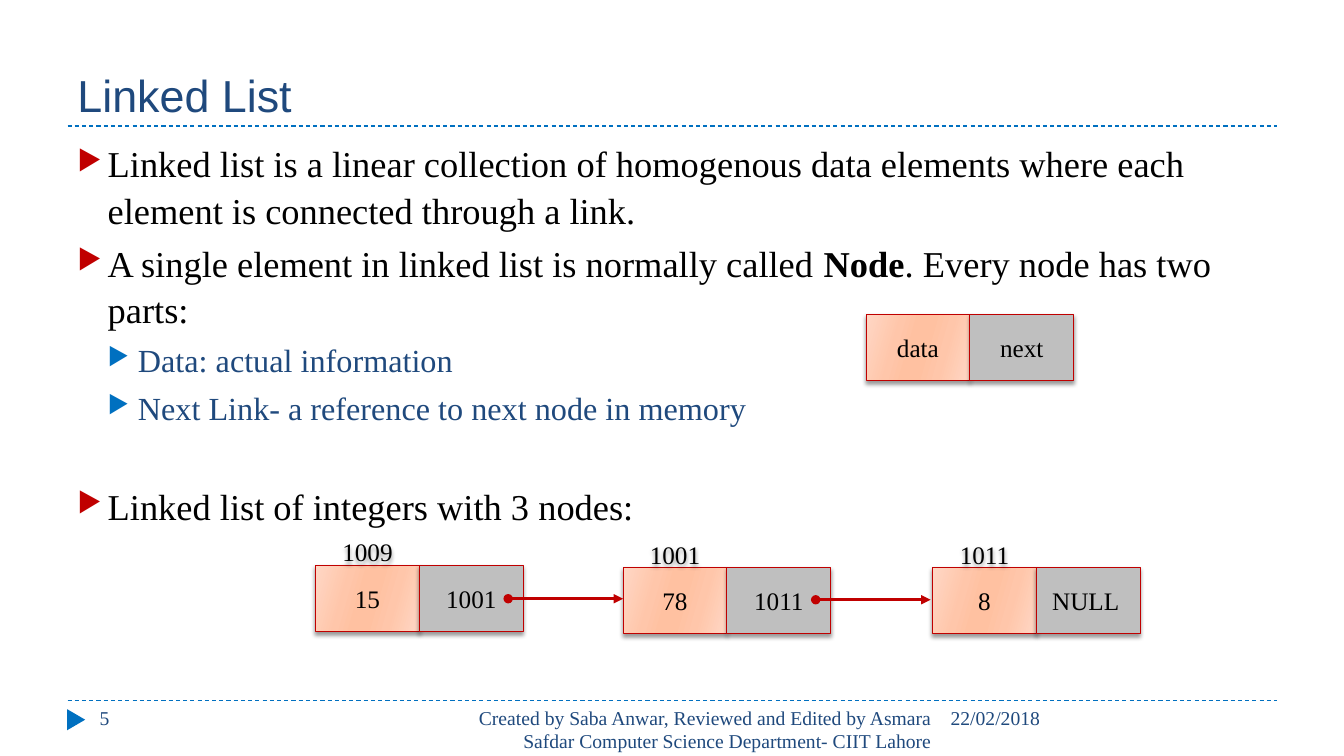
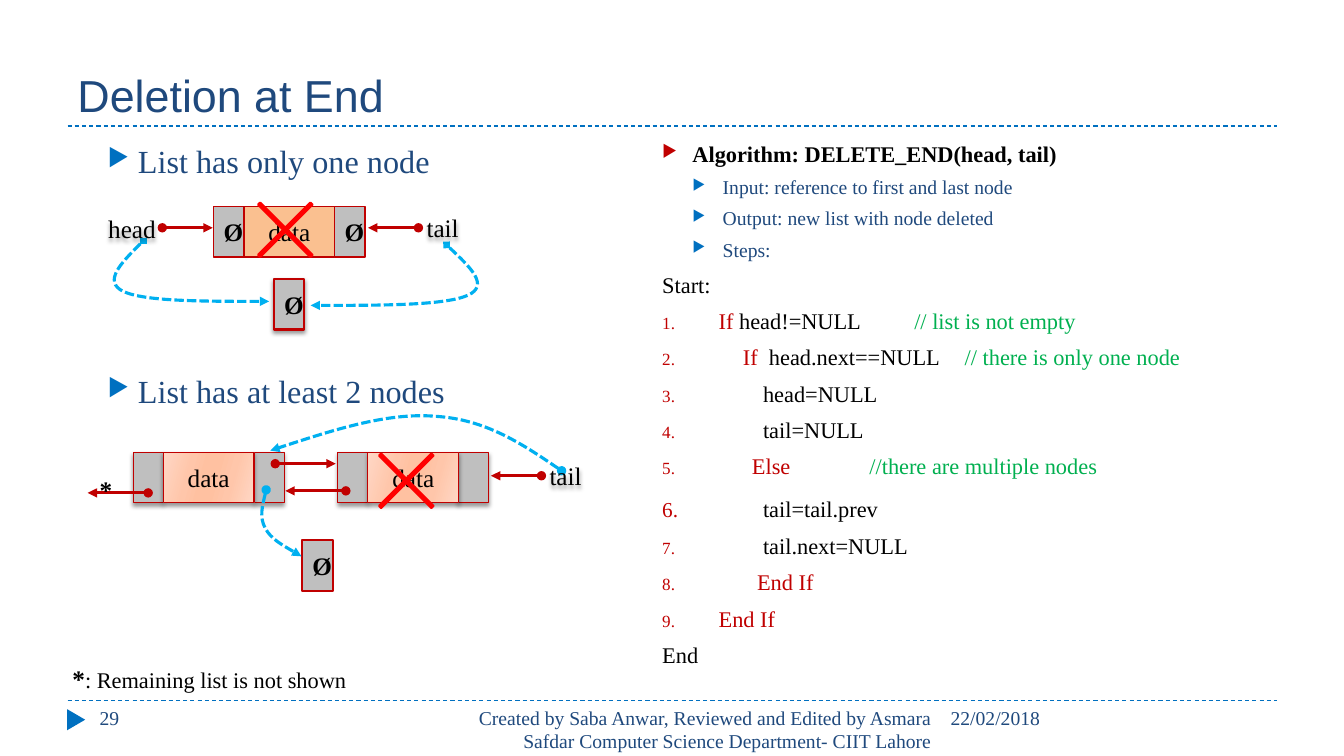
from pptx import Presentation
from pptx.dml.color import RGBColor
from pptx.enum.dml import MSO_LINE
from pptx.enum.shapes import MSO_CONNECTOR, MSO_SHAPE
from pptx.enum.text import MSO_ANCHOR, PP_ALIGN
from pptx.oxml import parse_xml
from pptx.oxml.ns import nsdecls, qn
from pptx.util import Inches, Pt
from lxml import etree

LEFT, MID, RIGHT = PP_ALIGN.LEFT, PP_ALIGN.CENTER, PP_ALIGN.RIGHT
TOP, HALF, BASE = MSO_ANCHOR.TOP, MSO_ANCHOR.MIDDLE, MSO_ANCHOR.BOTTOM
DASH, SHORT = MSO_LINE.DASH, MSO_LINE.SQUARE_DOT
RECT, TRI, CROSS = MSO_SHAPE.RECTANGLE, MSO_SHAPE.ISOSCELES_TRIANGLE, MSO_SHAPE.MATH_MULTIPLY
STRAIGHT = MSO_CONNECTOR.STRAIGHT


class Theme:
    navy, blue, sky = "1F497D", "0070C0", "00B0F0"
    red, hot, green = "C00000", "FF0000", "00B050"
    black, grey, peach = "000000", "BFBFBF", "FAC090"
    glow = [(0, "FFD7C5"), (30, "FFC6AA"), (45, "FFC1A1"),
            (55, "FFC1A1"), (73, "FFC6AA"), (100, "FFD7C5")]
    sans, serif = "Arial", "Times New Roman"
    title, main, sub, label, code, small, big = 32, 26, 23, 18, 16, 14, 20


T = Theme


def write(para, size, runs, font=T.serif):
    for words, tone, bold in runs:
        run = para.add_run()
        run.text = words
        run.font.size = Pt(size)
        run.font.name = font
        run.font.bold = bold
        run.font.color.rgb = RGBColor.from_string(tone)


def stroke(shape, tone, width, dash=None, ends=()):
    shape.line.color.rgb = RGBColor.from_string(tone)
    shape.line.width = Pt(width)
    if dash:
        shape.line.dash_style = dash
    spot = shape._element.spPr
    for tag, kind in zip(("a:headEnd", "a:tailEnd"), ends):
        etree.SubElement(spot.find(qn("a:ln")), qn(tag)).set("type", kind)
    if spot.find(qn("a:effectLst")) is None:
        etree.SubElement(spot, qn("a:effectLst"))


def_row = {"top": (0.3, 0.3, "▶", T.red), "sub": (0.6, 0.3, "▶", T.blue),
           "step": (0.56, 0.56, None, T.red), "plain": (0, 0, None, None)}

main = [
    ("top", T.main, 5, [("Linked list is a linear collection of homogenous data elements "
                         "where each element is connected through a link.", T.black, False)]),
    ("top", T.main, 5, [("A single element in linked list is normally called ", T.black, False),
                        ("Node", T.black, True),
                        (". Every node has two parts:", T.black, False)]),
    ("sub", T.sub, 5, [("Data: actual information", T.navy, False)]),
    ("sub", T.sub, 5, [("Next Link- a reference to next node in memory", T.navy, False)]),
    ("top", T.main, 39, [("Linked list of integers with 3 nodes:", T.black, False)]),
]
cases = [
    ("sub", T.sub, 5, [("List has only one node", T.navy, False)]),
    ("sub", T.sub, 135, [("List has at least 2 nodes", T.navy, False)]),
]
algo = [("top", T.code, 6, [("Algorithm: DELETE_END(head, tail)", T.black, True)])]
for words in ("Input: reference to first and last node",
              "Output: new list with node deleted", "Steps:"):
    algo.append(("sub", T.small, 5, [(words, T.navy, False)]))
algo.append(("plain", T.code, 6, [("Start:", T.black, False)]))
for left, key, rest, note in [
    (0.56, "If", " head!=NULL\t\t", "// list is not empty"),
    (0.8, "If  ", "head.next==NULL\t", "// there is only one node"),
    (0.56, "", "\thead=NULL", ""),
    (0.56, "", "\ttail=NULL", ""),
    (0.89, "Else", "\t\t", " //there are multiple nodes"),
    (0.56, "\t", "tail=tail.prev", ""),
    (0.56, "", "\ttail.next=NULL", ""),
    (0.94, "End If", "", ""),
    (0.56, "End If", "", ""),
]:
    parts = [(key, T.red, False), (rest, T.black, False), (note, T.green, False)]
    algo.append((left, T.code, 6, [part for part in parts if part[0]]))
algo.append(("plain", T.code, 6, [("End", T.black, False)]))

nodes, links, tags = [], [], []
for left, top, data, link, spot in [(8.59, 3.12, "data", "next", None),
                                    (3.13, 5.61, "15", "1001", "1009"),
                                    (6.18, 5.63, "78", "1011", "1001"),
                                    (9.25, 5.63, "8", "NULL ", "1011")]:
    nodes.append((left, top, 1.03, 0.66, data, T.glow, 0.75, True))
    nodes.append((left + 1.03, top, 1.03, 0.66, link, T.grey, 0.75, True))
    if spot:
        tags.append((left, top - 0.26, 1.03, 0.25, spot))
for left, top in [(5.04, 5.94), (8.09, 5.95)]:
    links.append((left, top, left + 1.14, top))

cells = []
for left, top, sign, tint, weight, soft in [(2.12, 2.05, "Ø", T.peach, 1, False),
                                            (1.32, 4.49, "", T.glow, 0.75, True),
                                            (3.35, 4.49, "", T.glow, 0.75, True)]:
    for shift, width, words, fill in [(0, 0.3, sign, T.grey), (1.2, 0.3, sign, T.grey),
                                      (0.3, 0.9, "data", tint)]:
        cells.append((left + shift, top, width, 0.5, words, fill, weight, soft))
cells.append((2.72, 2.77, 0.3, 0.5, "Ø", T.grey, 1.5, True))
cells.append((3, 5.36, 0.3, 0.5, "Ø", T.grey, 1.5, False))

bends = [
    ("diamond", [(1.42, 2.39), (1.22, 2.59), (1.02, 2.79), (1.22, 2.89),
                 (1.43, 2.99), (2.05, 2.99), (2.67, 2.99)]),
    ("diamond", [(4.43, 2.43), (4.64, 2.63), (4.86, 2.83), (4.64, 2.93),
                 (4.41, 3.03), (3.75, 3.03), (3.08, 3.03)]),
    ("oval", [(2.64, 4.86), (2.61, 4.99), (2.57, 5.13), (2.63, 5.24),
              (2.69, 5.35), (2.84, 5.43), (2.99, 5.52)]),
    ("oval", [(5.57, 4.67), (5.19, 4.41), (4.81, 4.16), (4.32, 4.13),
              (3.84, 4.09), (3.26, 4.28), (2.68, 4.47)]),
]

pages = [
    dict(title="Linked List", page="5", bodies=[(0.67, 12, 1.06, main)], boxes=nodes,
         lines=links, bends=[], tags=tags, notes=[], marks=[]),
    dict(title="Deletion at End", page="29",
         bodies=[(0.67, 5.03, 1.06, cases), (6.47, 6.2, 1.04, algo)], boxes=cells,
         lines=[(1.61, 2.26, 2.11, 2.26), (4.15, 2.26, 3.65, 2.26),
                (3.43, 4.87, 2.83, 4.87), (2.73, 4.6, 3.33, 4.6),
                (1.47, 4.89, 0.87, 4.89), (5.37, 4.72, 4.87, 4.72)],
         bends=bends,
         tags=[(0.96, 2.12, 0.7, 0.3, "head"), (4.04, 2.11, 0.7, 0.3, "tail"),
               (5.26, 4.57, 0.7, 0.3, "tail")],
         notes=[(0.62, 6.53, 2.96, ": Remaining list is not shown"), (0.89, 4.66, 0.33, "")],
         marks=[(2.33, 1.78), (3.53, 4.27)]),
]

deck = Presentation()
deck.slide_width, deck.slide_height = Inches(13.33), Inches(7.5)

for page in pages:
    slide = deck.slides.add_slide(deck.slide_layouts[6])
    shapes = slide.shapes
    soft = []

    for top in (6.95, 1.25):
        rule = shapes.add_connector(STRAIGHT, Inches(0.67), Inches(top), Inches(12.67), Inches(top))
        stroke(rule, T.blue, 0.75, DASH)
    wedge = shapes.add_shape(TRI, Inches(0.65), Inches(7.05), Inches(0.21), Inches(0.18))
    wedge.rotation = 90
    wedge.shadow.inherit = False
    wedge.fill.solid()
    wedge.fill.fore_color.rgb = RGBColor.from_string(T.blue)
    wedge.line.fill.background()

    credit = ("Created by Saba Anwar, Reviewed and Edited by Asmara Safdar "
              "Computer Science Department- CIIT Lahore")
    texts = [
        (0.67, 0.17, 12, 1.08, page["title"], T.title, T.navy, T.sans, LEFT, BASE),
        (9.33, 6.95, 3.34, 0.4, "22/02/2018", T.small, T.navy, T.serif, LEFT, TOP),
        (4.23, 6.95, 5.11, 0.4, credit, T.small, T.navy, T.serif, RIGHT, TOP),
        (0.89, 6.95, 2.89, 0.4, page["page"], T.small, T.navy, T.serif, LEFT, TOP),
    ]

    for left, width, pitch, rows in page["bodies"]:
        frame = shapes.add_textbox(Inches(left), Inches(1.33), Inches(width), Inches(5.4)).text_frame
        frame.word_wrap = True
        for n, (kind, size, before, runs) in enumerate(rows):
            para = frame.add_paragraph() if n else frame.paragraphs[0]
            para.space_before = Pt(before)
            para.line_spacing = pitch
            write(para, size, runs)
            if runs[0][0] == "\t":
                para.runs[0].font.size = Pt(T.big)
            step = not isinstance(kind, str)
            edge, hang, sign, tone = (kind, kind, None, T.red) if step else def_row[kind]
            props = para._p.get_or_add_pPr()
            props.set("marL", str(Inches(edge)))
            props.set("indent", str(-Inches(hang)))
            if tone:
                color = etree.SubElement(props, qn("a:buClr"))
                etree.SubElement(color, qn("a:srgbClr")).set("val", tone)
                etree.SubElement(props, qn("a:buSzPct")).set("val", "76000")
                if sign:
                    etree.SubElement(props, qn("a:buChar")).set("char", sign)
                else:
                    etree.SubElement(props, qn("a:buAutoNum")).set("type", "arabicPeriod")

    for left, top, width, height, words, tint, weight, shade in page["boxes"]:
        box = shapes.add_shape(RECT, Inches(left), Inches(top), Inches(width), Inches(height))
        box.shadow.inherit = False
        box.fill.solid()
        if tint is T.glow:
            stops = "".join(f'<a:gs pos="{at * 1000}"><a:srgbClr val="{tone}"/></a:gs>'
                            for at, tone in tint)
            blend = parse_xml(f'<a:gradFill {nsdecls("a")} rotWithShape="1"><a:gsLst>{stops}</a:gsLst>'
                              '<a:lin ang="960000" scaled="0"/></a:gradFill>')
            spot = box._element.spPr
            spot.replace(spot.find(qn("a:solidFill")), blend)
        else:
            box.fill.fore_color.rgb = RGBColor.from_string(tint)
        stroke(box, T.red, weight)
        if shade:
            soft.append(box)
        if words:
            box.text_frame.vertical_anchor = HALF
            para = box.text_frame.paragraphs[0]
            para.alignment = MID
            write(para, T.label, [(words, T.black, words == "Ø")])

    for ends in page["lines"]:
        link = shapes.add_connector(STRAIGHT, *[Inches(at) for at in ends])
        stroke(link, T.red, 2.25, None, ("oval", "triangle"))

    for head, spots in page["bends"]:
        spots = [(Inches(x), Inches(y)) for x, y in spots]
        draft = shapes.build_freeform(*spots[0])
        draft.add_line_segments(spots[1:], close=False)
        bend = draft.convert_to_shape()
        bend.shadow.inherit = False
        bend.fill.background()
        trace = bend._element.spPr.find(".//" + qn("a:path"))
        legs = list(trace)[1:]
        for n in range(0, len(legs), 3):
            curve = etree.SubElement(trace, qn("a:cubicBezTo"))
            for leg in legs[n:n + 3]:
                curve.append(leg[0])
                trace.remove(leg)
        stroke(bend, T.sky, 2.25, SHORT, (head, "triangle"))

    for tag in page["tags"]:
        texts.append((*tag, T.label, T.black, T.serif, MID, HALF))
    for left, top, width, height, words, size, tone, font, align, anchor in texts:
        label = shapes.add_textbox(Inches(left), Inches(top), Inches(width), Inches(height))
        label.text_frame.word_wrap = True
        label.text_frame.vertical_anchor = anchor
        para = label.text_frame.paragraphs[0]
        para.alignment = align
        write(para, size, [(words, tone, False)], font)
        if anchor == HALF:
            label.shadow.inherit = False
            soft.append(label)

    for left, top, width, words in page["notes"]:
        note = shapes.add_textbox(Inches(left), Inches(top), Inches(width), Inches(0.4))
        note.text_frame.word_wrap = True
        para = note.text_frame.paragraphs[0]
        write(para, T.label, [("*", T.black, True)])
        if words:
            write(para, T.code, [(words, T.black, False)])

    for left, top in page["marks"]:
        mark = shapes.add_shape(CROSS, Inches(left), Inches(top), Inches(1), Inches(1))
        mark.adjustments[0] = 0.03
        mark.shadow.inherit = False
        mark.fill.solid()
        mark.fill.fore_color.rgb = RGBColor.from_string(T.hot)
        stroke(mark, T.hot, 1.5)

    for shape in soft:
        shape._element.spPr.find(qn("a:effectLst")).append(parse_xml(
            f'<a:outerShdw {nsdecls("a")} blurRad="{Pt(3)}" dist="{Pt(2)}" dir="5400000" '
            'rotWithShape="0"><a:srgbClr val="000000"><a:alpha val="40000"/></a:srgbClr></a:outerShdw>'))

deck.save("out.pptx")
